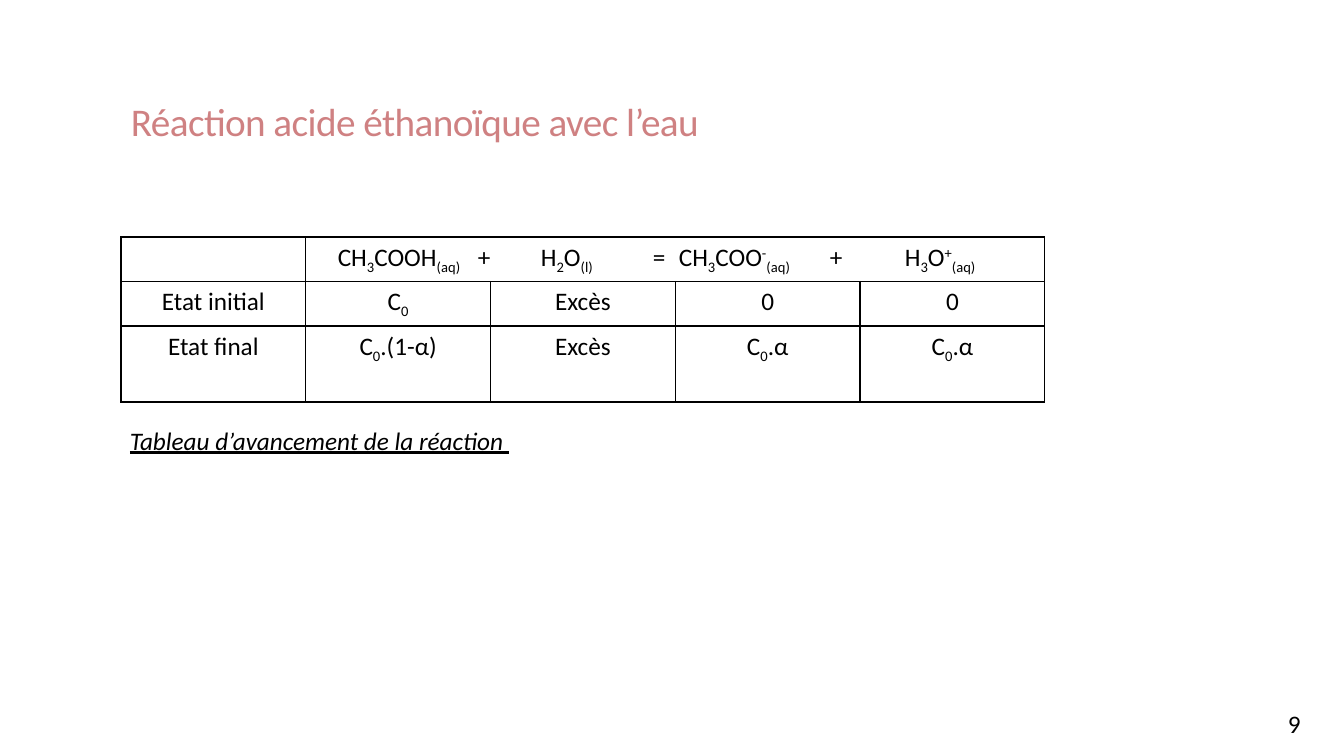
from lxml import etree
from pptx import Presentation
from pptx import util as u
from pptx.dml.color import RGBColor
from pptx.enum import text
from pptx.oxml import ns

PX = 914400 / 100.8
BLACK = "000000"
BASELINES = {"_": -25000, "^": 30000}
EQUATION = ("\t|CH|_3|COOH|_(aq)|\t+\t|H|_2|O|_(l)|\t=\t|CH|_3|COO|^-|_(aq)"
            "|\t+\t|H|_3|O|^+|_(aq)")
EQUATION_TABS = [22, 162, 225, 337, 363, 514, 589]
STATES = [
    ["Etat initial", "C|_0", "Excès", "0", "0"],
    ["Etat final", "C|_0|.(1-α)", "Excès", "C|_0|.α", "C|_0|.α"],
]


def px(n):
    return u.Emu(round(n * PX))


def rgb(value):
    return RGBColor.from_string(value)


def add_run(p, words, size=18, color=BLACK):
    r = p.add_run()
    r.text = words
    r.font.name = "Calibri"
    r.font.size = u.Pt(size)
    r.font.color.rgb = rgb(color)
    return r


def add_formula(p, formula):
    for part in formula.split("|"):
        shift = BASELINES.get(part[0])
        r = add_run(p, part[1:] if shift else part)
        if shift:
            r.font._element.set("baseline", str(shift))


def add_tabs(p, stops):
    tabs = etree.SubElement(p._p.get_or_add_pPr(), ns.qn("a:tabLst"))
    for stop in stops:
        etree.SubElement(tabs, ns.qn("a:tab"), pos=str(px(stop)), algn="l")


def add_borders(cell):
    tcPr = cell._tc.get_or_add_tcPr()
    for i, side in enumerate(["lnL", "lnR", "lnT", "lnB"]):
        ln = etree.Element(ns.qn(f"a:{side}"), w=str(u.Pt(1)))
        fill = etree.SubElement(ln, ns.qn("a:solidFill"))
        etree.SubElement(fill, ns.qn("a:srgbClr"), val=BLACK)
        tcPr.insert(i, ln)


def add_box(s, x, y, w, h, wrap=False):
    tf = s.shapes.add_textbox(px(x), px(y), px(w), px(h)).text_frame
    tf.word_wrap = wrap
    return tf


def add_title(s, x, y, w, h):
    tf = add_box(s, x, y, w, h, wrap=True)
    tf.vertical_anchor = text.MSO_ANCHOR.BOTTOM
    p = tf.paragraphs[0]
    p.line_spacing = 0.85
    r = add_run(p, "Réaction acide éthanoïque avec l’eau", 28, "CF8182")
    r.font._element.set("spc", "-40")


def add_progress_table(s, x, y, w, heights):
    rows, cols = len(heights), len(STATES[0])
    table = s.shapes.add_table(rows, cols, px(x), px(y), px(w), px(sum(heights))).table
    table.first_row = table.horz_banding = False
    for row, height in zip(table.rows, heights):
        row.height = px(height)
    for col in table.columns:
        col.width = px(w / cols)
    for cell in table.iter_cells():
        cell.fill.background()
        add_borders(cell)
    table.cell(0, 0).text_frame.paragraphs[0].font.size = u.Pt(18)
    header = table.cell(0, 1)
    header.merge(table.cell(0, cols - 1))
    p = header.text_frame.paragraphs[0]
    add_tabs(p, EQUATION_TABS)
    add_formula(p, EQUATION)
    for i, state in enumerate(STATES, 1):
        for j, formula in enumerate(state):
            p = table.cell(i, j).text_frame.paragraphs[0]
            p.alignment = text.PP_ALIGN.CENTER
            add_formula(p, formula)


def add_caption(s, x, y, w, h):
    tf = add_box(s, x, y, w, h)
    r = add_run(tf.paragraphs[0], "Tableau d’avancement de la réaction ")
    r.font.italic = True
    r.font.underline = True


def add_page_number(s, x, y, w, h):
    add_run(add_box(s, x, y, w, h).paragraphs[0], "9")


def main():
    prs = Presentation()
    prs.slide_width, prs.slide_height = px(1344), px(756)
    s = prs.slides.add_slide(prs.slide_layouts[6])
    add_page_number(s, 1278, 703, 50, 40)
    add_title(s, 121, 31, 1109, 118)
    add_progress_table(s, 121, 237, 924, [44, 44, 76])
    add_caption(s, 120, 420, 408, 40)
    prs.save("out.pptx")


if __name__ == "__main__":
    main()
